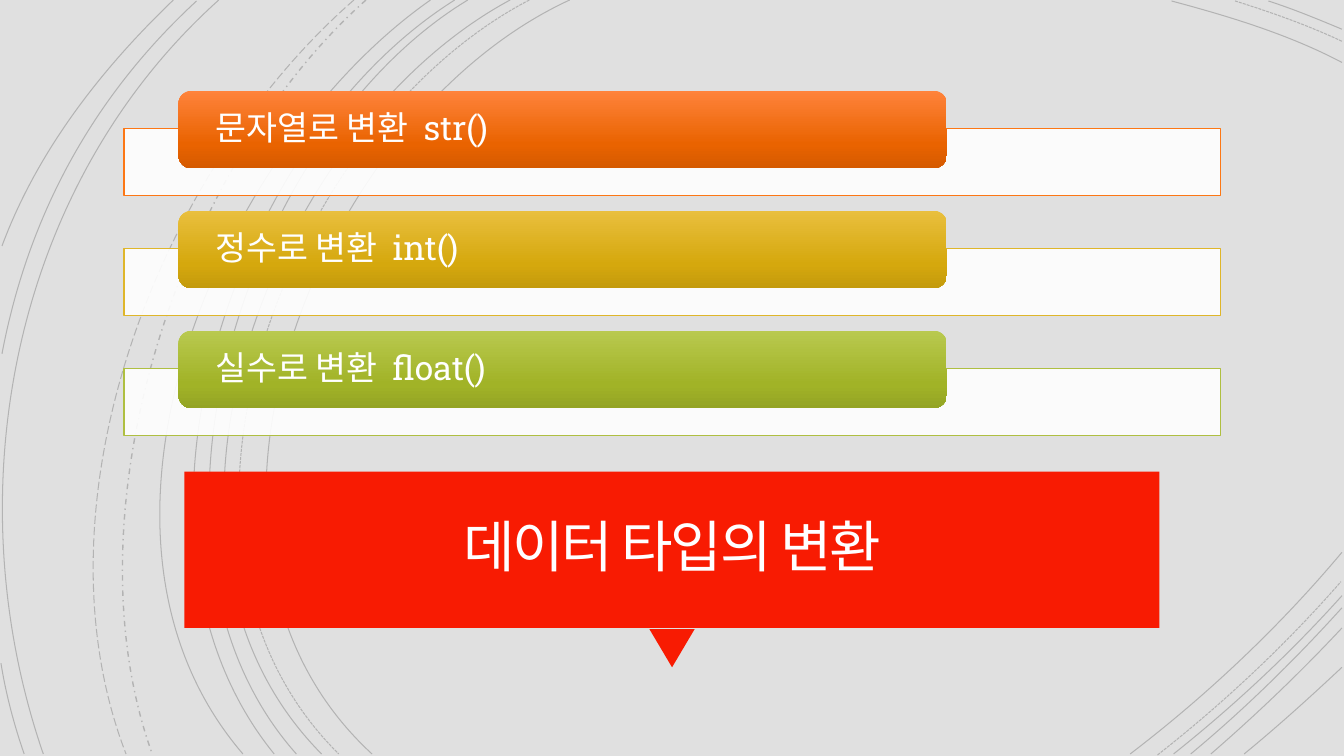
from copy import deepcopy

from lxml.etree import SubElement
from pptx import Presentation
from pptx.dml.color import RGBColor
from pptx.enum.dml import MSO_LINE
from pptx.enum.shapes import MSO_SHAPE
from pptx.enum.text import MSO_ANCHOR, MSO_AUTO_SIZE, PP_ALIGN
from pptx.oxml.ns import qn
from pptx.util import Inches, Pt

GRAY = RGBColor(0xE0, 0xE0, 0xE0)
BLACK = RGBColor(0x00, 0x00, 0x00)
WHITE = RGBColor(0xFF, 0xFF, 0xFF)
CREAM = RGBColor(0xFF, 0xFE, 0xFF)
RED = RGBColor(0xF8, 0x1B, 0x02)
ORANGE = RGBColor(0xFC, 0x77, 0x15)
GOLD = RGBColor(0xDF, 0xB6, 0x2A)
GREEN = RGBColor(0xAF, 0xBF, 0x41)
ORANGES = [RGBColor(0xFF, 0x83, 0x3B), RGBColor(0xE9, 0x63, 0x00), RGBColor(0xD5, 0x5A, 0x00)]
GOLDS = [RGBColor(0xE9, 0xBF, 0x3E), RGBColor(0xD5, 0xA8, 0x0D), RGBColor(0xC3, 0x9A, 0x0C)]
GREENS = [RGBColor(0xB9, 0xC9, 0x4F), RGBColor(0xA1, 0xB3, 0x27), RGBColor(0x94, 0xA4, 0x24)]

SOLID, DASH = MSO_LINE.SOLID, MSO_LINE.SQUARE_DOT
LONG, MIXED = MSO_LINE.LONG_DASH, MSO_LINE.DASH_DOT
WIDE, HIGH = 13.33, 7.5
END = 7.48  # lower end of the arcs
EDGE = 13.31  # right end of the arcs

# dash style, then start, two control points and end of each arc
ARCS = [
    (SOLID, (5.65, 0), (3.15, 1.15), (1.43, 5.4), (3.69, END)),
    (DASH, (5.25, 0), (2.85, 1.25), (1.23, 5.37), (3.36, END)),
    (SOLID, (5.06, 0), (2.7, 1.27), (1.1, 5.37), (3.19, END)),
    (SOLID, (4.64, 0), (2.44, 1.33), (1.1, 5.41), (2.94, END)),
    (SOLID, (4.51, 0), (2.31, 1.38), (0.97, 5.33), (2.72, END)),
    (SOLID, (4.27, 0), (2.17, 1.47), (0.53, 5.29), (2.41, END)),
    (MIXED, (3.63, 0), (1.76, 1.66), (0.65, 5.09), (1.51, END)),
    (LONG, (3.51, 0), (1.57, 1.69), (0.29, 4.99), (1.25, END)),
    (SOLID, (2.17, 0), (0.11, 1.85), (-0.46, 4.9), (0.43, END)),
    (SOLID, (1.95, 0.01), (0.92, 0.96), (0.28, 2.14), (0.02, 3.51)),
    (SOLID, (0.01, 6.58), (0.06, 6.89), (0.14, 7.19), (0.24, END)),
    (SOLID, (1.72, 0), (1, 0.69), (0.37, 1.5), (0.02, 2.44)),
    (SOLID, (EDGE, 0.62), (12.78, 0.34), (12.18, 0.16), (11.62, 0.01)),
    (DASH, (EDGE, 0.41), (12.97, 0.25), (12.6, 0.12), (12.25, 0.01)),
    (SOLID, (EDGE, 0.29), (13.07, 0.19), (12.83, 0.09), (12.58, 0.01)),
    (SOLID, (11.21, END), (11.97, 6.9), (12.69, 6.22), (EDGE, 5.48)),
    (DASH, (11.48, 7.49), (12.13, 6.98), (12.75, 6.4), (13.3, 5.77)),
    (SOLID, (11.64, END), (12.23, 7.01), (12.8, 6.48), (EDGE, 5.91)),
    (SOLID, (11.81, END), (12.34, 7.04), (12.84, 6.55), (EDGE, 6.03)),
    (SOLID, (12.01, END), (12.46, 7.09), (12.9, 6.67), (EDGE, 6.23)),
    (SOLID, (12.34, END), (12.67, 7.21), (12.99, 6.92), (EDGE, 6.62)),
]
ROWS = [
    ("문자열로 변환  str()", ORANGE, ORANGES),
    ("정수로 변환  int()", GOLD, GOLDS),
    ("실수로 변환  float()", GREEN, GREENS),
]
TOP, STEP = 0.9, 1.19  # first bar and distance between bars


def write(shape, text, font, size, color, align=PP_ALIGN.LEFT, lead=0.9, side=0.33, edge=0):
    """Put one formatted, vertically centred line of text in a shape."""
    frame = shape.text_frame
    frame.word_wrap, frame.auto_size = True, MSO_AUTO_SIZE.NONE
    frame.vertical_anchor = MSO_ANCHOR.MIDDLE
    frame.margin_left = frame.margin_right = Inches(side)
    frame.margin_top = frame.margin_bottom = Inches(edge)
    line = frame.paragraphs[0]
    line.alignment, line.line_spacing = align, lead
    run = line.add_run()
    run.text = text
    run.font.name, run.font.size = font, Pt(size)
    run.font.color.rgb = color
    return run


def block(kind, left, top, width, height, color):
    """Add a plain filled shape without line or shadow."""
    shape = slide.shapes.add_shape(kind, *map(Inches, (left, top, width, height)))
    shape.shadow.inherit = False
    shape.fill.solid()
    shape.fill.fore_color.rgb = color
    shape.line.fill.background()
    return shape


deck = Presentation()
deck.slide_width, deck.slide_height = Inches(WIDE), Inches(HIGH)
slide = deck.slides.add_slide(deck.slide_layouts[5])
slide.background.fill.solid()
slide.background.fill.fore_color.rgb = GRAY

for dash, *points in ARCS:
    start, *rest = [(Inches(x), Inches(y)) for x, y in points]
    pen = slide.shapes.build_freeform(*start)
    pen.add_line_segments(rest, close=False)
    arc = pen.convert_to_shape()
    arc.shadow.inherit = False
    arc.fill.background()
    arc.line.color.rgb = BLACK
    arc.line.width = Pt(1 if dash == MIXED else 0.75)
    arc.line.dash_style = dash
    tint = arc.line._ln.find(".//" + qn("a:srgbClr"))
    SubElement(tint, qn("a:alpha"), val="20000")
    # Turn the three straight segments into one Bezier curve
    route = arc._element.find(".//" + qn("a:path"))
    legs = route.findall(qn("a:lnTo"))
    curve = SubElement(route, qn("a:cubicBezTo"))
    for leg in legs:
        curve.append(leg[0])
        route.remove(leg)

tip = block(MSO_SHAPE.ISOSCELES_TRIANGLE, 6.44, 6.24, 0.45, 0.38, RED)
tip.rotation = 180
block(MSO_SHAPE.RECTANGLE, 1.83, 4.68, 9.67, 1.55, RED)

title = slide.shapes.title
title.left, title.top = Inches(1.92), Inches(4.78)
title.width, title.height = Inches(9.49), Inches(1.37)
head = write(title, "데이터 타입의 변환", "Calibri", 40, CREAM,
             align=PP_ALIGN.CENTER, lead=0.85, side=0.25, edge=0.25)
head.font._element.set("spc", "-150")
slide.shapes._spTree.append(title._element)  # in front of the red block

for row, (text, color, shades) in enumerate(ROWS):
    top = TOP + row * STEP
    band = block(MSO_SHAPE.RECTANGLE, 1.23, top + 0.38, 10.88, 0.66, WHITE)
    tint = band._element.spPr.find(".//" + qn("a:srgbClr"))
    SubElement(tint, qn("a:alpha"), val="90000")
    band.line.color.rgb = color
    band.line.width = Pt(0.75)

    bar = block(MSO_SHAPE.ROUNDED_RECTANGLE, 1.77, top, 7.62, 0.77, color)
    bar.fill.gradient()
    bar.fill.gradient_angle = 270
    stops = bar._element.spPr.find(".//" + qn("a:gsLst"))
    stops.append(deepcopy(stops[-1]))
    for stop, spot, shade in zip(bar.fill.gradient_stops, (0, 0.69, 1), shades):
        stop.position, stop.color.rgb = spot, shade
    write(bar, text, "Roboto Slab", 24, WHITE)

deck.save("out.pptx")
